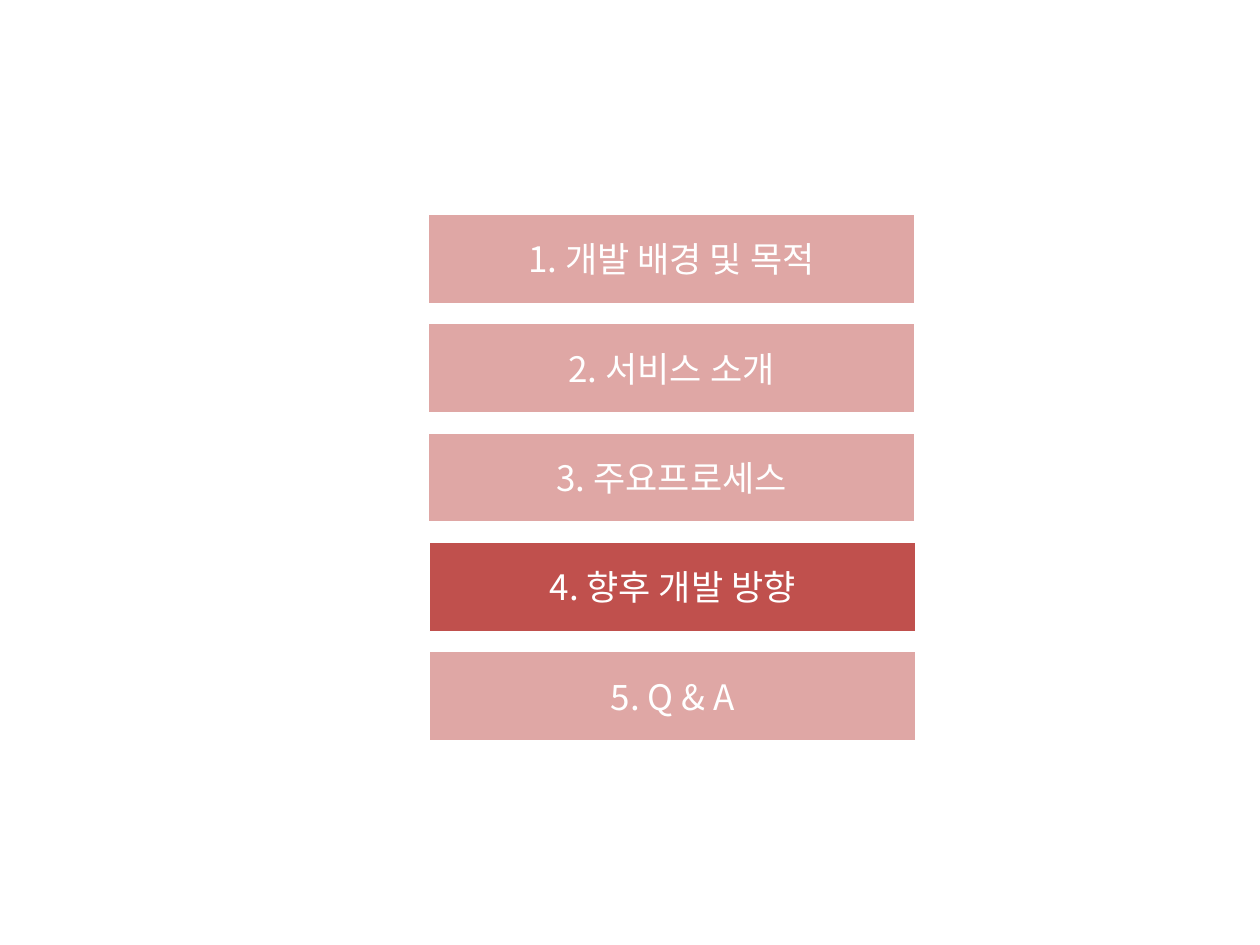
from lxml import etree
from pptx import Presentation
from pptx.dml.color import RGBColor
from pptx.enum.shapes import MSO_SHAPE
from pptx.enum.text import MSO_ANCHOR, PP_ALIGN
from pptx.oxml.ns import qn
from pptx.util import Inches, Pt

RECTANGLE = MSO_SHAPE.RECTANGLE
MIDDLE = MSO_ANCHOR.MIDDLE
CENTER = PP_ALIGN.CENTER
RED = RGBColor(0xC0, 0x50, 0x4D)
WHITE = RGBColor(0xFF, 0xFF, 0xFF)
FONT = "Noto Sans CJK KR"
BLANK_LAYOUT = 6

AGENDA = [
    "1. 개발 배경 및 목적",
    "2. 서비스 소개",
    "3. 주요프로세스",
    "4. 향후 개발 방향",
    "5. Q & A",
]
CURRENT = 3
BAR_HEIGHT = Inches(0.71)


def set_opacity(shape, percent):
    """Make the solid fill of a shape partly transparent."""
    color = shape._element.spPr.find(qn("a:solidFill"))[0]
    etree.SubElement(color, qn("a:alpha"), val=str(percent * 1000))


def add_bar(slide, text, left, top, width, height, is_current):
    """Draw one agenda bar, faded unless it is the current section."""
    shape = slide.shapes.add_shape(RECTANGLE, left, top, width, height)
    shape.shadow.inherit = False
    shape.fill.solid()
    shape.fill.fore_color.rgb = RED
    if not is_current:
        set_opacity(shape, 50)
    shape.line.color.rgb = WHITE
    shape.line.width = Pt(1)
    frame = shape.text_frame
    frame.word_wrap = True
    frame.vertical_anchor = MIDDLE
    paragraph = frame.paragraphs[0]
    paragraph.text = text
    paragraph.alignment = CENTER
    paragraph.font.size = Pt(20)
    paragraph.font.name = FONT
    paragraph.font.color.rgb = WHITE
    properties = paragraph._p.pPr.find(qn("a:defRPr"))
    etree.SubElement(properties, qn("a:ea"), typeface=FONT)


def add_agenda(slide, left, top, width, height):
    """Stack the agenda bars evenly in the given box."""
    pitch = (height - BAR_HEIGHT) / (len(AGENDA) - 1)
    for index, text in enumerate(AGENDA):
        bar_left = left + (Inches(0.01) if index >= CURRENT else 0)
        bar_top = top + round(index * pitch)
        add_bar(slide, text, bar_left, bar_top, width, BAR_HEIGHT, index == CURRENT)


def main():
    """Build the agenda slide and save it."""
    presentation = Presentation()
    presentation.slide_width = Inches(10)
    presentation.slide_height = Inches(7.5)
    slide = presentation.slides.add_slide(presentation.slide_layouts[BLANK_LAYOUT])
    add_agenda(slide, Inches(3.4), Inches(1.7), Inches(3.86), Inches(4.18))
    presentation.save("out.pptx")


if __name__ == "__main__":
    main()
